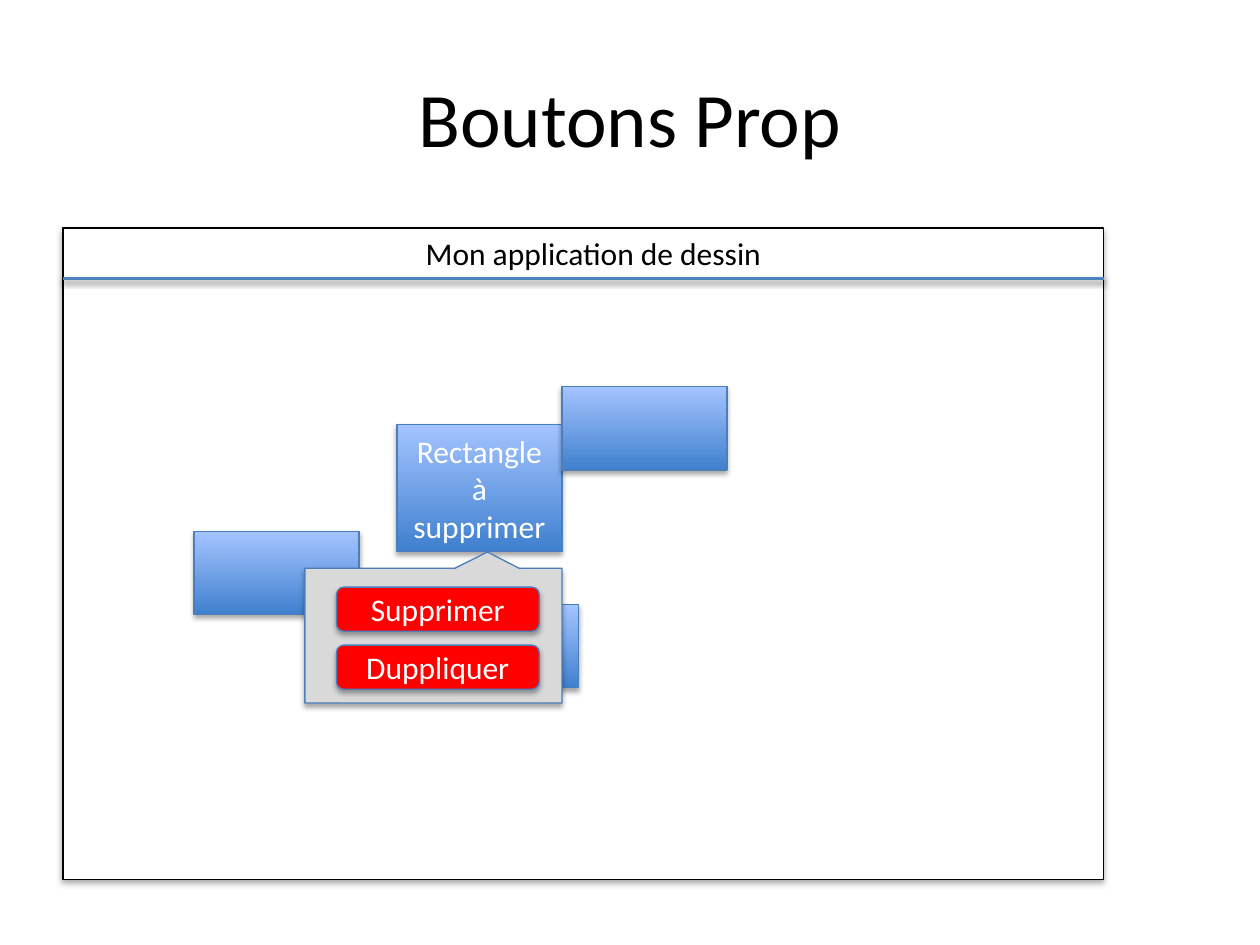
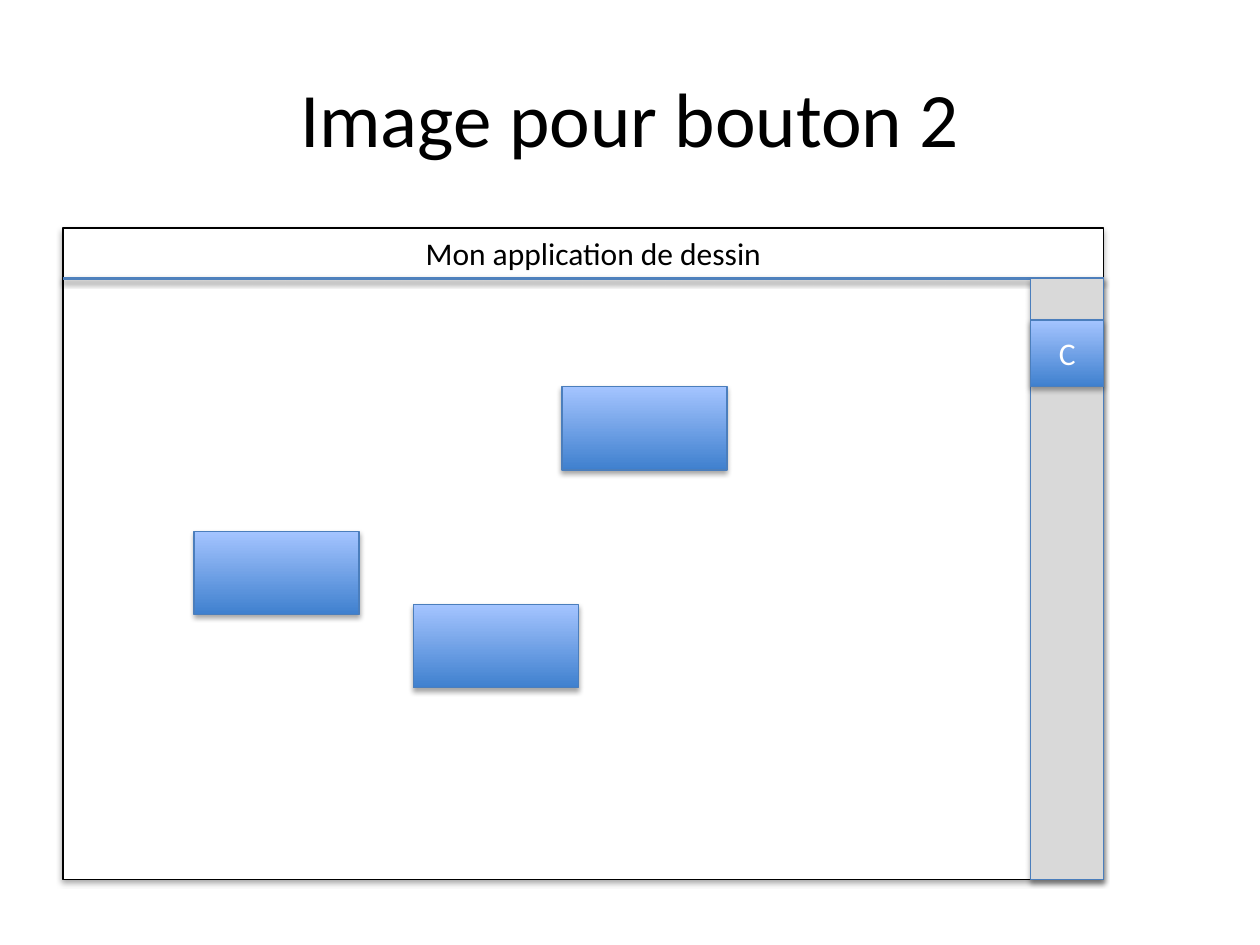
from pptx import Presentation
from pptx.dml.color import RGBColor
from pptx.enum.shapes import MSO_CONNECTOR as Link, MSO_SHAPE as Kind
from pptx.enum.text import MSO_ANCHOR as Anchor, MSO_AUTO_SIZE as Auto, PP_ALIGN as Align
from pptx.oxml import parse_xml
from pptx.oxml.ns import nsdecls
from pptx.util import Inches, Pt

BLACK, WHITE, GREY, RED = "000000", "FFFFFF", "D9D9D9", "FF0000"
BLUE = ("3F80CE", "A4C4FF")  # gradient, bottom to top
EDGE, RULE = "4B7EBC", "4F81BD"

# The application window, shared by both slides
LEFT, TOP, WIDE, HIGH = 0.5, 1.81, 8.26, 5.17
BAR = 0.4
RIGHT = LEFT + WIDE
CAPTION = "Mon application de dessin"
BOXES = [(3.28, 4.8), (4.46, 3.07), (1.54, 4.22)]
BOX = (1.31, 0.66)

# Slide 1: the pop-up with its buttons
DOOMED = ("Rectangle à supprimer", (3.15, 3.37, 1.31, 1.01))
POPUP = (2.42, 4.51, 2.04, 1.07)
TIP = (-0.21, 0.62)
BUTTONS = ["Supprimer", "Duppliquer"]
FIRST, STEP = (2.67, 4.66, 1.61, 0.35), 0.46

# Slide 2: the side panel with its tool
PANEL = 0.58
TOOL = ("C", 2.54, 0.53)


def tint(color, code):
    """Set a colour from a hex string."""
    color.rgb = RGBColor.from_string(code)


def write(shape, text, size=18, code=WHITE, align=Align.CENTER):
    """Put one formatted paragraph in a shape."""
    frame = shape.text_frame
    frame.text = text
    para = frame.paragraphs[0]
    para.alignment = align
    for name, value in {"name": "Calibri", "size": Pt(size)}.items():
        setattr(para.font, name, value)
    tint(para.font.color, code)
    return frame


def shade(props, alpha=35, dist=1.8):
    """Add a soft shadow that falls straight down."""
    props.append(parse_xml(
        f'<a:effectLst {nsdecls("a")}>'
        f'<a:outerShdw blurRad="{Pt(3.1)}" dist="{Pt(dist)}" dir="5400000" rotWithShape="0">'
        f'<a:srgbClr val="{BLACK}"><a:alpha val="{alpha * 1000}"/></a:srgbClr>'
        '</a:outerShdw></a:effectLst>'))


def block(parent, place, fill=BLUE, edge=EDGE, text="", kind=Kind.RECTANGLE):
    """Draw a filled, outlined and shaded shape."""
    shape = parent.add_shape(kind, *map(Inches, place))
    if isinstance(fill, tuple):
        shape.fill.gradient()
        shape.fill.gradient_angle = 90
        for stop, code in zip(shape.fill.gradient_stops, fill):
            tint(stop.color, code)
    else:
        shape.fill.solid()
        tint(shape.fill.fore_color, fill)
    tint(shape.line.color, edge)
    shape.line.width = Pt(0.75)
    shade(shape._element.spPr)
    if text:
        write(shape, text).vertical_anchor = Anchor.MIDDLE
    return shape


def window(parent):
    """Draw the window frame, its caption and the rule below."""
    block(parent, (LEFT, TOP, WIDE, HIGH), WHITE, BLACK)
    label = parent.add_textbox(*map(Inches, (3.28, TOP, 2.9, BAR)))
    frame = write(label, CAPTION, code=BLACK, align=Align.LEFT)
    frame.word_wrap = False
    frame.auto_size = Auto.SHAPE_TO_FIT_TEXT
    rule = parent.add_connector(
        Link.STRAIGHT, *map(Inches, (LEFT, TOP + BAR, RIGHT, TOP + BAR)))
    tint(rule.line.color, RULE)
    rule.line.width = Pt(2)
    shade(rule._element.spPr, 38, 1.6)


def boxes(parent):
    """Draw the loose rectangles."""
    for spot in BOXES:
        block(parent, spot + BOX)


def popup(parent):
    """Draw the callout and its stack of buttons."""
    bubble = block(parent, POPUP, GREY, kind=Kind.RECTANGULAR_CALLOUT)
    bubble.rotation = 180
    bubble.adjustments[0], bubble.adjustments[1] = TIP
    left, top, wide, high = FIRST
    for row, text in enumerate(BUTTONS):
        block(parent, (left, top + row * STEP, wide, high), RED,
              text=text, kind=Kind.ROUNDED_RECTANGLE)


def panel(parent):
    """Draw the side panel and its tool."""
    left = RIGHT - PANEL
    block(parent, (left, TOP + BAR, PANEL, HIGH - BAR), GREY)
    text, top, high = TOOL
    block(parent, (left, top, PANEL, high), text=text)


def start(deck, text):
    """Add a slide with its title."""
    slide = deck.slides.add_slide(deck.slide_layouts[5])
    title = slide.shapes.title
    place = {"left": 0.5, "top": 0.3, "width": 9, "height": 1.25}
    for name, value in place.items():
        setattr(title, name, Inches(value))
    write(title, text, 44, BLACK).vertical_anchor = Anchor.MIDDLE
    return slide.shapes


deck = Presentation()
deck.slide_width, deck.slide_height = Inches(10), Inches(7.5)

group = start(deck, "Boutons Prop").add_group_shape().shapes
window(group)
block(group, DOOMED[1], text=DOOMED[0])
boxes(group)
popup(group)

shapes = start(deck, "Image pour bouton 2")
window(shapes)
boxes(shapes)
panel(shapes)

deck.save("out.pptx")
